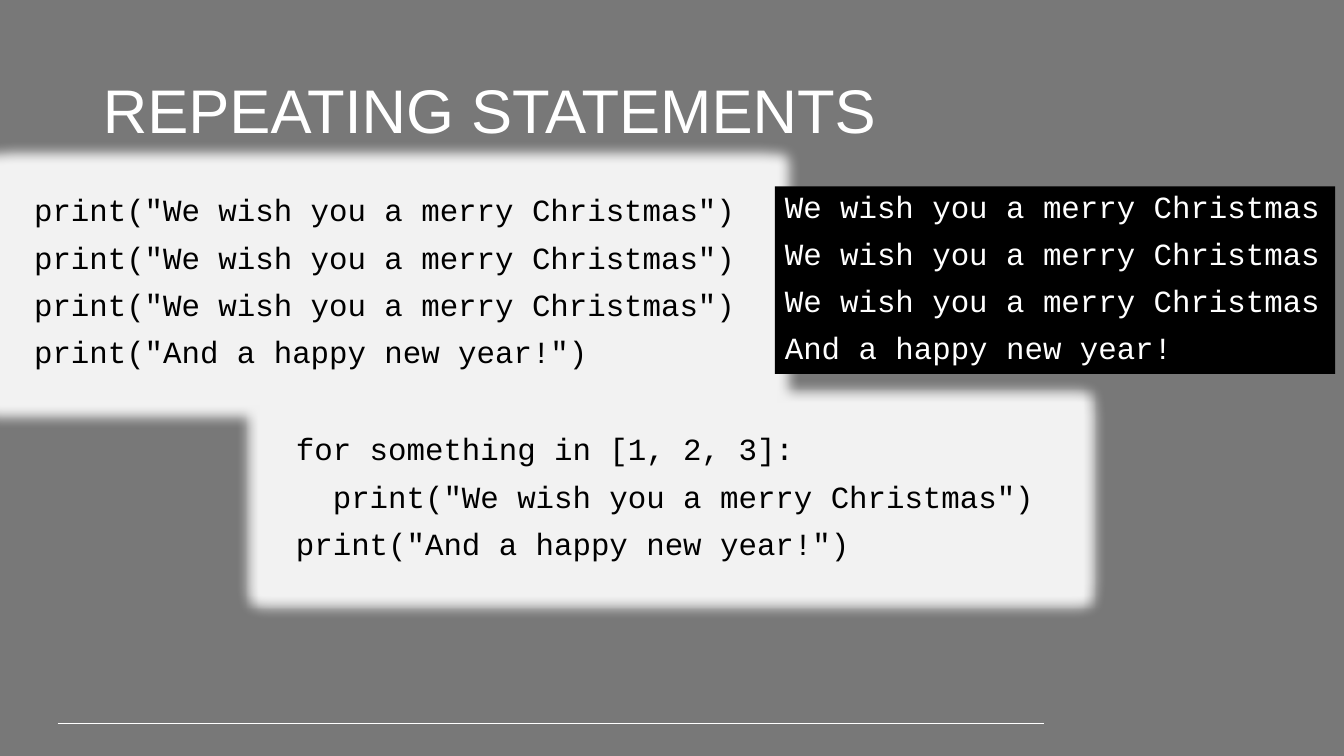
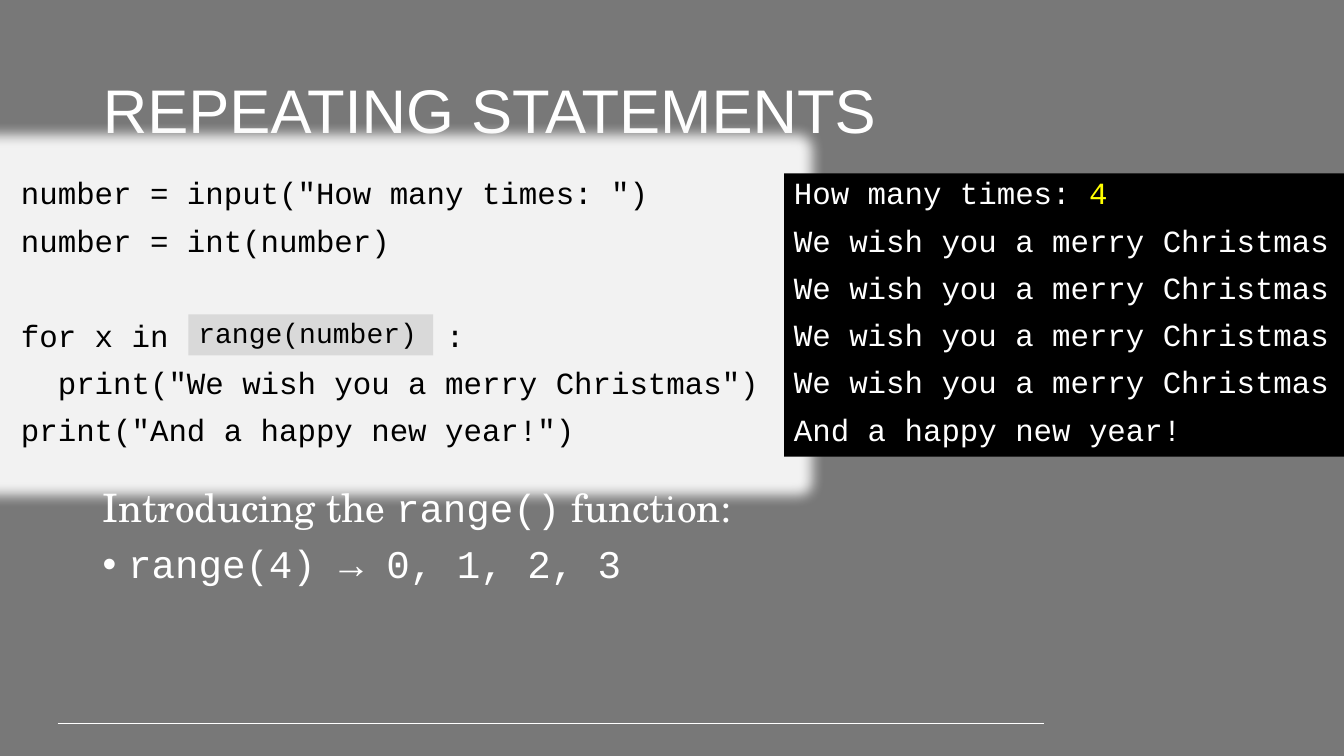
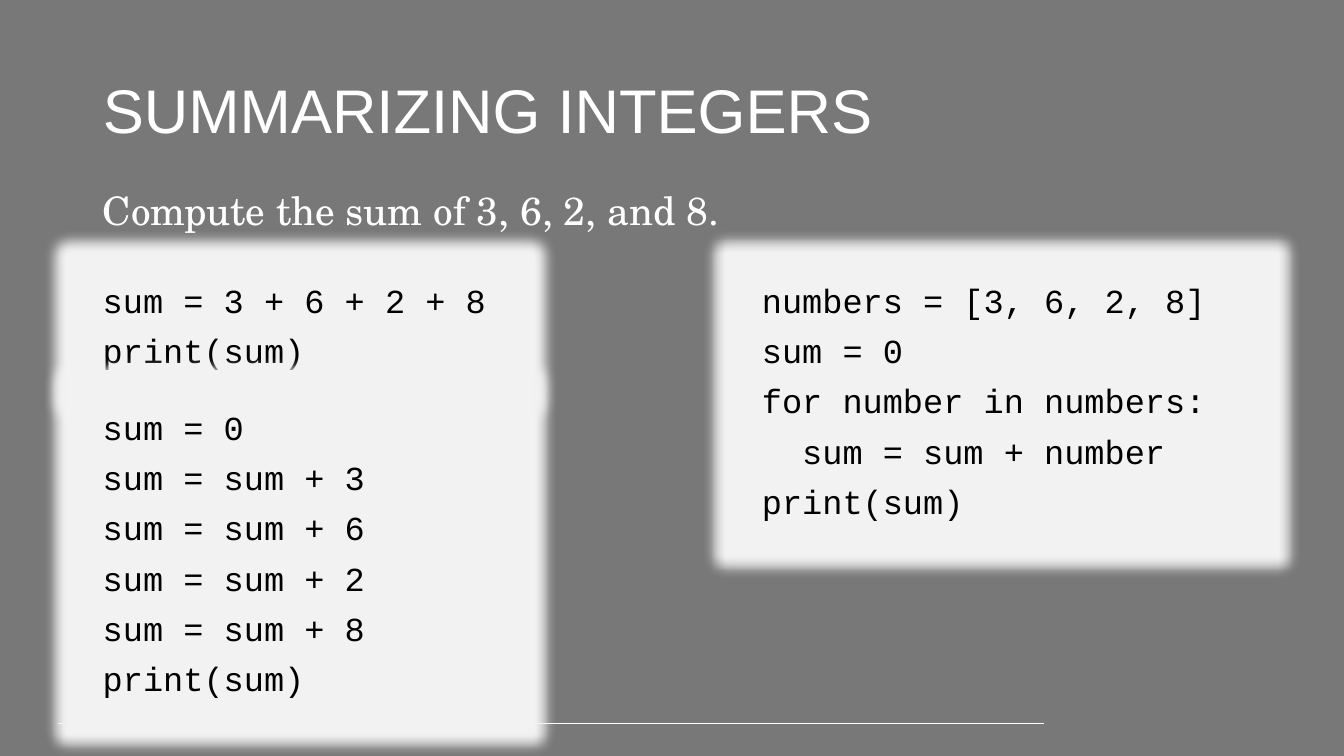
import pptx
import pptx.dml.color
import pptx.enum.shapes
import pptx.enum.text
import pptx.oxml
import pptx.oxml.ns
import pptx.util

Cm, Pt = pptx.util.Cm, pptx.util.Pt
qn = pptx.oxml.ns.qn
rgb = pptx.dml.color.RGBColor.from_string

COLORS = {
    "background": "787878",
    "white": "FFFFFF",
    "black": "000000",
    "code": "F2F2F2",
    "chip": "D9D9D9",
    "input": "FFFF00",
}
MONO, SERIF, SANS = "Courier New", "TeX Gyre Schola", "Arial"
STYLES = {  # fill, text colour, font
    "code": ("code", "black", MONO),
    "console": ("black", "white", MONO),
    "chip": ("chip", "black", MONO),
    "prose": (None, "white", SERIF),
}
LEFT, WIDTH = 2.34, 29.21
LINE_GAP = 10
BLANK_LINE = 44


def add_run(p, text, size, font, color):
    r = p.add_run()
    r.text = text
    r.font.size = Pt(size)
    r.font.name = font
    r.font.color.rgb = rgb(COLORS[color])


def add_box(s, style, box, size, lines):
    """Add a text block; a line is a string or a list of (text, font, colour) runs."""
    fill, color, font = STYLES[style]
    box = [Cm(length) for length in box]
    if fill:
        sp = s.shapes.add_shape(pptx.enum.shapes.MSO_SHAPE.RECTANGLE, *box)
        sp.shadow.inherit = False
        sp.fill.solid()
        sp.fill.fore_color.rgb = rgb(COLORS[fill])
        sp.line.fill.background()
    else:
        sp = s.shapes.add_textbox(*box)
    if style == "code":
        effects = sp.element.spPr.find(qn("a:effectLst"))
        glow = pptx.oxml.parse_xml(
            f'<a:glow {pptx.oxml.ns.nsdecls("a")} rad="{Pt(18)}">'
            f'<a:srgbClr val="{COLORS[fill]}"/></a:glow>')
        effects.append(glow)
    tf = sp.text_frame
    tf.word_wrap = True
    tf.vertical_anchor = pptx.enum.text.MSO_ANCHOR.TOP
    for i, line in enumerate(lines):
        p = tf.paragraphs[0] if i == 0 else tf.add_paragraph()
        p.alignment = pptx.enum.text.PP_ALIGN.LEFT
        p.line_spacing = 0.9
        if i:
            p.space_before = Pt(LINE_GAP)
        runs = [(line, font, color)] if isinstance(line, str) else line
        for run in runs:
            add_run(p, run[0], size, *run[1:])
    return tf


prs = pptx.Presentation()
prs.slide_width, prs.slide_height = Cm(33.87), Cm(19.05)
background = prs.slide_master.background.fill
background.solid()
background.fore_color.rgb = rgb(COLORS["background"])
layout = prs.slide_layouts.get_by_name("Title Only")

slides = []
for title in ("REPEATING STATEMENTS", "REPEATING STATEMENTS", "SUMMARIZING INTEGERS"):
    s = prs.slides.add_slide(layout)
    sp = s.shapes.title
    sp.left, sp.top, sp.width, sp.height = Cm(LEFT), Cm(1.02), Cm(WIDTH), Cm(3.68)
    tf = sp.text_frame
    tf.word_wrap = True
    tf.auto_size = pptx.enum.text.MSO_AUTO_SIZE.NONE
    tf.vertical_anchor = pptx.enum.text.MSO_ANCHOR.MIDDLE
    p = tf.paragraphs[0]
    p.alignment = pptx.enum.text.PP_ALIGN.LEFT
    p.line_spacing = 0.9
    add_run(p, title, 44, SANS, "white")
    slides.append(s)

# The footer rule sits on the master, so every slide shows it.
rule = slides[0].shapes.add_connector(
    pptx.enum.shapes.MSO_CONNECTOR.STRAIGHT, Cm(1.45), Cm(18.24), Cm(26.31), Cm(18.24))
rule.line.color.rgb = rgb(COLORS["white"])
rule.line.width = Pt(0.75)
rule.element.spPr.append(pptx.oxml.parse_xml(f'<a:effectLst {pptx.oxml.ns.nsdecls("a")}/>'))
prs.slide_master.shapes.element.append(rule.element)

WISH, NEW_YEAR = "We wish you a merry Christmas", "And a happy new year!"
print_wish, print_new_year = f'print("{WISH}")', f'print("{NEW_YEAR}")'

# Repeating statements: a list
s = slides[0]
add_box(s, "code", (0.61, 4.8, 18.29, 4.72), 22, [print_wish] * 3 + [print_new_year])
add_box(s, "console", (19.53, 4.7, 14.12, 4.72), 22, [WISH] * 3 + [NEW_YEAR])
add_box(s, "code", (7.21, 10.82, 19.41, 3.53), 22,
        ["for something in [1, 2, 3]:", "  " + print_wish, print_new_year])

# Repeating statements: range()
s = slides[1]
tf = add_box(s, "code", (0.28, 4.37, 19.23, 7.14), 22, [
    'number = input("How many times: ")',
    "number = int(number)",
    "for x in\t:",
    "  " + print_wish,
    print_new_year,
])
loop_line = tf.paragraphs[2]
loop_line.space_before = Pt(BLANK_LINE)
loop_line._p.get_or_add_pPr().append(pptx.oxml.parse_xml(
    f'<a:tabLst {pptx.oxml.ns.nsdecls("a")}><a:tab pos="{Cm(10.71)}" algn="l"/></a:tabLst>'))
add_box(s, "console", (19.76, 4.37, 14.12, 7.14), 22,
        [[("How many times: ", MONO, "white"), ("4", MONO, "input")]]
        + [WISH] * 4 + [NEW_YEAR])
tf = add_box(s, "prose", (LEFT, 12.19, WIDTH, 2.77), 28, [
    [("Introducing the ", SERIF, "white"), ("range()", MONO, "white"),
     (" function:", SERIF, "white")],
    [("range(4) → 0, 1, 2, 3", MONO, "white")],
])
pPr = tf.paragraphs[1]._p.get_or_add_pPr()
pPr.set("marL", str(Cm(0.64)))
pPr.set("indent", str(-Cm(0.64)))
for bullet in ('<a:buFont {} typeface="Arial"/>', '<a:buChar {} char="•"/>'):
    pPr.append(pptx.oxml.parse_xml(bullet.format(pptx.oxml.ns.nsdecls("a"))))
add_box(s, "chip", (4.75, 7.92, 6.17, 1.04), 20, ["range(number)"])

# Summarizing integers
s = slides[2]
add_box(s, "prose", (LEFT, 4.7, WIDTH, 1.37), 28, ["Compute the sum of 3, 6, 2, and 8."])
add_box(s, "code", (LEFT, 7.04, 10.44, 2.49), 24, ["sum = 3 + 6 + 2 + 8", "print(sum)"])
add_box(s, "code", (LEFT, 10.24, 10.44, 7.59), 24,
        ["sum = 0"] + [f"sum = sum + {n}" for n in (3, 6, 2, 8)] + ["print(sum)"])
add_box(s, "code", (18.95, 7.04, 12.6, 6.32), 24, [
    "numbers = [3, 6, 2, 8]",
    "sum = 0",
    "for number in numbers:",
    "  sum = sum + number",
    "print(sum)",
])

prs.save("out.pptx")
